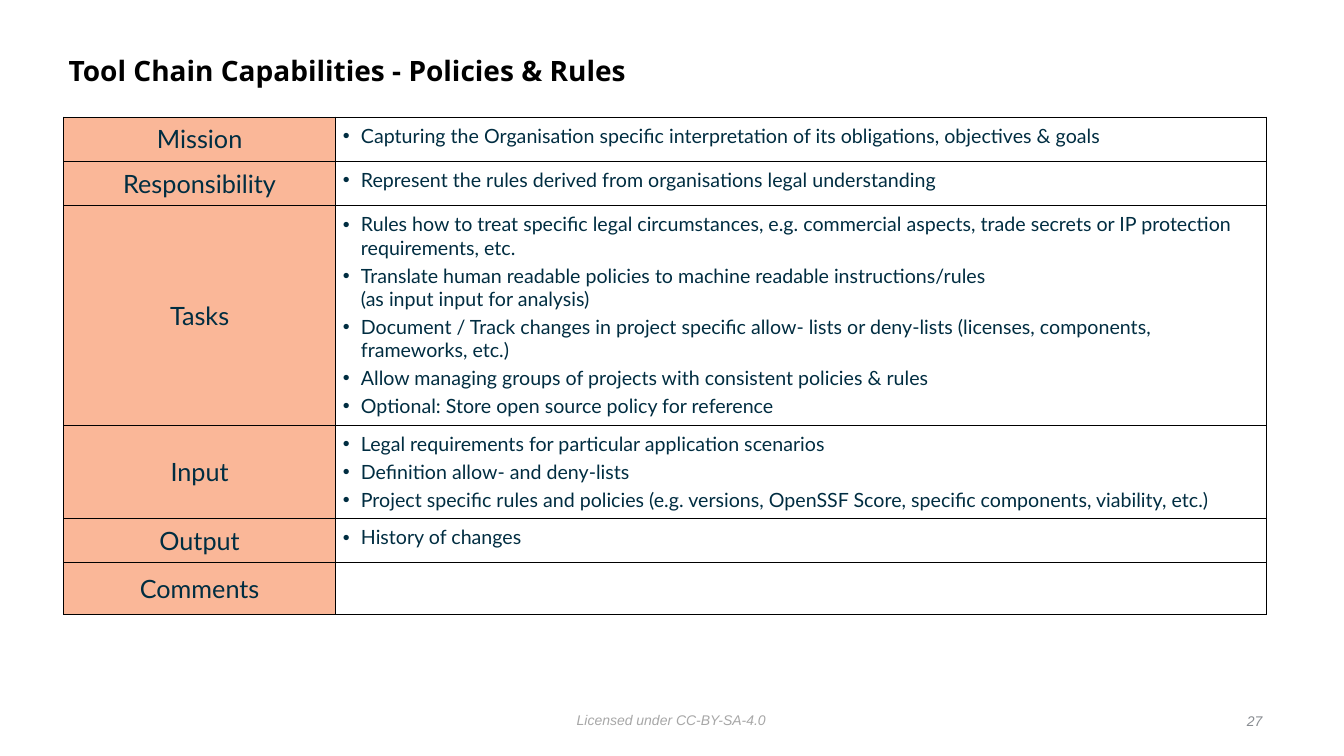
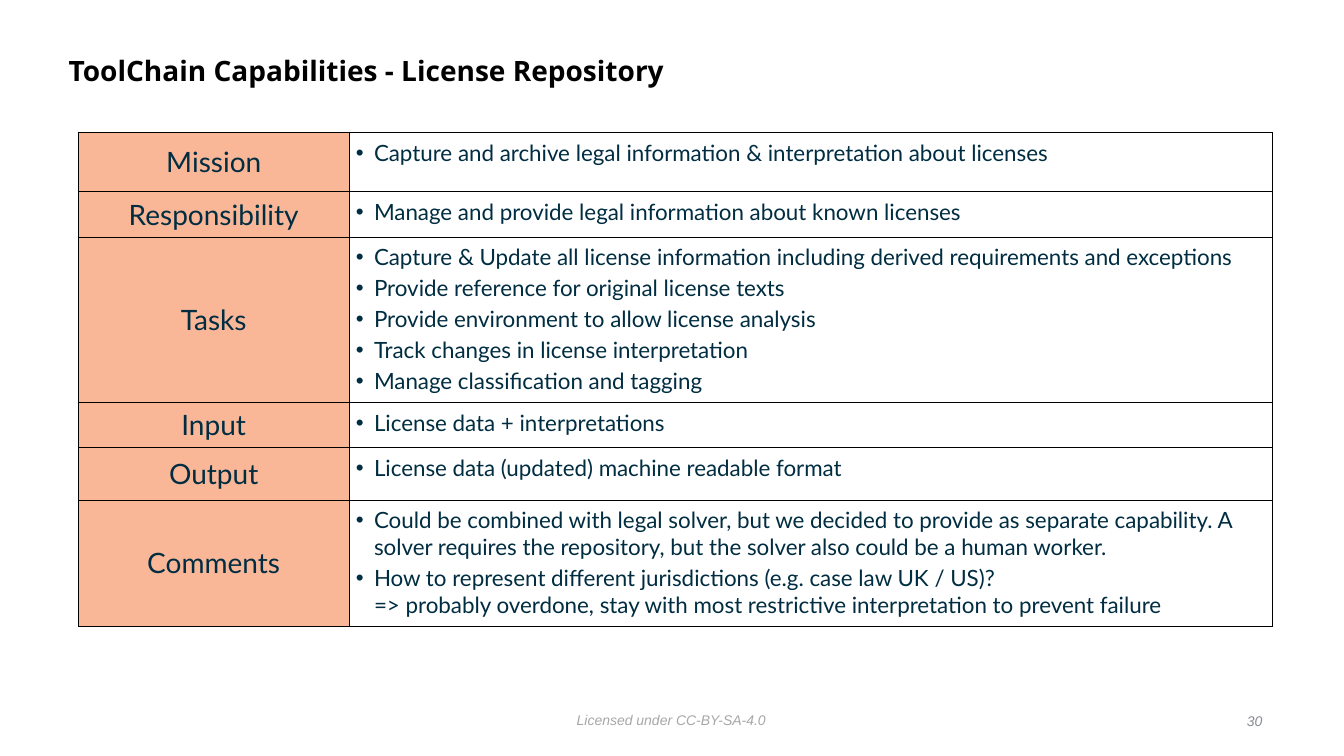
"""Build two tool chain capability slides, each with a title, a profile table and a footer."""
from dataclasses import dataclass

from lxml.etree import SubElement
from pptx import Presentation
from pptx.dml.color import RGBColor
from pptx.enum.text import MSO_ANCHOR, MSO_AUTO_SIZE, PP_ALIGN
from pptx.oxml.ns import qn
from pptx.util import Inches, Length, Pt

COLORS = {
    "title": "000000",
    "border": "000000",
    "text": "002D41",
    "label": "FAB798",
    "license": "A7A7A7",
    "number": "888C91",
}
ASPECTS = ("Mission", "Responsibility", "Tasks", "Input", "Output", "Comments")
BULLET_INDENT = Inches(0.18)


@dataclass(frozen=True)
class TextStyle:
    font: str
    size: float
    color: str
    bold: bool = False
    italic: bool = False


@dataclass(frozen=True)
class Box:
    left: float
    top: float
    width: float
    height: float


@dataclass(frozen=True)
class Capability:
    title: str
    number: int
    left: float
    top: float
    columns: tuple[float, float]
    heights: tuple[float, ...]
    label_size: int
    entry_size: int
    entries: tuple[tuple[str, ...], ...]


TITLE_BOX = Box(0.63, 0.39, 10.75, 0.65)
LICENSE_BOX = Box(5.67, 7.01, 1.99, 0.25)
NUMBER_BOX = Box(12.3, 7.03, 0.27, 0.25)
TITLE_STYLE = TextStyle("Open Sans", 20, "title", bold=True)
LICENSE_STYLE = TextStyle("Arial", 10, "license", italic=True)
NUMBER_STYLE = TextStyle("Arial", 10, "number", italic=True)

CAPABILITIES = (
    Capability(
        title="Tool Chain Capabilities - Policies & Rules",
        number=27,
        left=0.63,
        top=1.16,
        columns=(2.7, 9.23),
        heights=(0.44, 0.44, 2.18, 0.92, 0.44, 0.51),
        label_size=18,
        entry_size=14,
        entries=(
            ("Capturing the Organisation specific interpretation of its obligations, objectives & goals",),
            ("Represent the rules derived from organisations legal understanding",),
            (
                "Rules how to treat specific legal circumstances, e.g. commercial aspects, "
                "trade secrets or IP protection requirements, etc.",
                "Translate human readable policies to machine readable instructions/rules \n"
                "(as input input for analysis)",
                "Document / Track changes in project specific allow- lists or deny-lists "
                "(licenses, components, frameworks, etc.)",
                "Allow managing groups of projects with consistent policies & rules",
                "Optional: Store open source policy for reference",
            ),
            (
                "Legal requirements for particular application scenarios",
                "Definition allow- and deny-lists",
                "Project specific rules and policies (e.g. versions, OpenSSF Score, "
                "specific components, viability, etc.)",
            ),
            ("History of changes",),
            (),
        ),
    ),
    Capability(
        title="ToolChain Capabilities - License Repository",
        number=30,
        left=0.78,
        top=1.31,
        columns=(2.68, 9.16),
        heights=(0.59, 0.45, 1.64, 0.45, 0.52, 1.25),
        label_size=20,
        entry_size=16,
        entries=(
            ("Capture and archive legal information & interpretation about licenses",),
            ("Manage and provide legal information about known licenses",),
            (
                "Capture & Update all license information including derived requirements and exceptions",
                "Provide reference for original license texts",
                "Provide environment to allow license analysis",
                "Track changes in license interpretation",
                "Manage classification and tagging",
            ),
            ("License data + interpretations",),
            ("License data (updated) machine readable format",),
            (
                "Could be combined with legal solver, but we decided to provide as separate "
                "capability. A solver requires the repository, but the solver also could be a human worker.",
                "How to represent different jurisdictions (e.g. case law UK / US)?\n"
                "=> probably overdone, stay with most restrictive interpretation to prevent failure",
            ),
        ),
    ),
)


def apply_style(paragraph, style: TextStyle) -> None:
    """Set the font of a whole paragraph."""
    font = paragraph.font
    font.name = style.font
    font.size = Pt(style.size)
    font.bold = style.bold
    font.italic = style.italic
    font.color.rgb = RGBColor.from_string(COLORS[style.color])


def add_line(slide, box: Box, text: str, style: TextStyle, wrap: bool = False,
             align: PP_ALIGN = PP_ALIGN.LEFT, anchor: MSO_ANCHOR = MSO_ANCHOR.MIDDLE):
    """Add a one-paragraph text box and return its paragraph."""
    frame = slide.shapes.add_textbox(
        Inches(box.left), Inches(box.top), Inches(box.width), Inches(box.height)
    ).text_frame
    frame.margin_left = frame.margin_right = Inches(0.05)
    frame.margin_top = frame.margin_bottom = Inches(0.05)
    frame.word_wrap = wrap
    frame.auto_size = MSO_AUTO_SIZE.NONE if wrap else MSO_AUTO_SIZE.SHAPE_TO_FIT_TEXT
    frame.vertical_anchor = anchor
    paragraph = frame.paragraphs[0]
    paragraph.text = text
    paragraph.alignment = align
    apply_style(paragraph, style)
    return paragraph


def format_cell(cell, margin: Length) -> None:
    """Give a cell equal margins and thin borders on all sides."""
    cell.margin_left = cell.margin_right = margin
    cell.margin_top = cell.margin_bottom = margin
    properties = cell._tc.get_or_add_tcPr()
    for side in ("a:lnL", "a:lnR", "a:lnT", "a:lnB"):
        border = SubElement(properties, qn(side), w=str(Pt(0.5)))
        fill = SubElement(border, qn("a:solidFill"))
        SubElement(fill, qn("a:srgbClr"), val=COLORS["border"])


def add_bullet(paragraph) -> None:
    """Give a paragraph a hanging round bullet."""
    properties = paragraph._p.get_or_add_pPr()
    properties.set("marL", str(BULLET_INDENT))
    properties.set("indent", str(-BULLET_INDENT))
    SubElement(properties, qn("a:buFont"), typeface="Arial")
    SubElement(properties, qn("a:buChar"), char="•")


def fill_label(cell, aspect: str, style: TextStyle) -> None:
    """Write an aspect name into a coloured cell."""
    format_cell(cell, Inches(0))
    cell.fill.solid()
    cell.fill.fore_color.rgb = RGBColor.from_string(COLORS["label"])
    cell.vertical_anchor = MSO_ANCHOR.MIDDLE
    paragraph = cell.text_frame.paragraphs[0]
    paragraph.text = aspect
    paragraph.alignment = PP_ALIGN.CENTER
    apply_style(paragraph, style)


def fill_entries(cell, entries: tuple[str, ...], style: TextStyle) -> None:
    """Write the bulleted entries of one aspect."""
    format_cell(cell, Inches(0.07))
    cell.fill.background()
    frame = cell.text_frame
    for index, entry in enumerate(entries):
        paragraph = frame.add_paragraph() if index else frame.paragraphs[0]
        paragraph.text = entry
        add_bullet(paragraph)
        if index:
            paragraph.space_before = Pt(3)
        apply_style(paragraph, style)


def add_profile(slide, capability: Capability) -> None:
    """Add the table that describes a capability aspect by aspect."""
    profile = slide.shapes.add_table(
        len(ASPECTS), 2, Inches(capability.left), Inches(capability.top),
        Inches(sum(capability.columns)), Inches(sum(capability.heights)),
    ).table
    profile.first_row = profile.horz_banding = False
    for column, width in zip(profile.columns, capability.columns):
        column.width = Inches(width)
    label_style = TextStyle("Lato", capability.label_size, "text")
    entry_style = TextStyle("Lato", capability.entry_size, "text")
    rows = zip(profile.rows, capability.heights, ASPECTS, capability.entries)
    for row, height, aspect, entries in rows:
        row.height = Inches(height)
        fill_label(row.cells[0], aspect, label_style)
        fill_entries(row.cells[1], entries, entry_style)


def add_capability_slide(deck, capability: Capability) -> None:
    """Add one slide with title, profile and footer."""
    slide = deck.slides.add_slide(deck.slide_layouts[6])
    add_line(slide, LICENSE_BOX, "Licensed under CC-BY-SA-4.0", LICENSE_STYLE, anchor=MSO_ANCHOR.TOP)
    title = add_line(slide, TITLE_BOX, capability.title, TITLE_STYLE, wrap=True)
    title.line_spacing = 0.9
    add_profile(slide, capability)
    add_line(slide, NUMBER_BOX, str(capability.number), NUMBER_STYLE, align=PP_ALIGN.RIGHT)


def main() -> None:
    """Create and save the presentation."""
    deck = Presentation()
    deck.slide_width = Inches(13.33)
    deck.slide_height = Inches(7.5)
    for capability in CAPABILITIES:
        add_capability_slide(deck, capability)
    deck.save("out.pptx")


if __name__ == "__main__":
    main()
